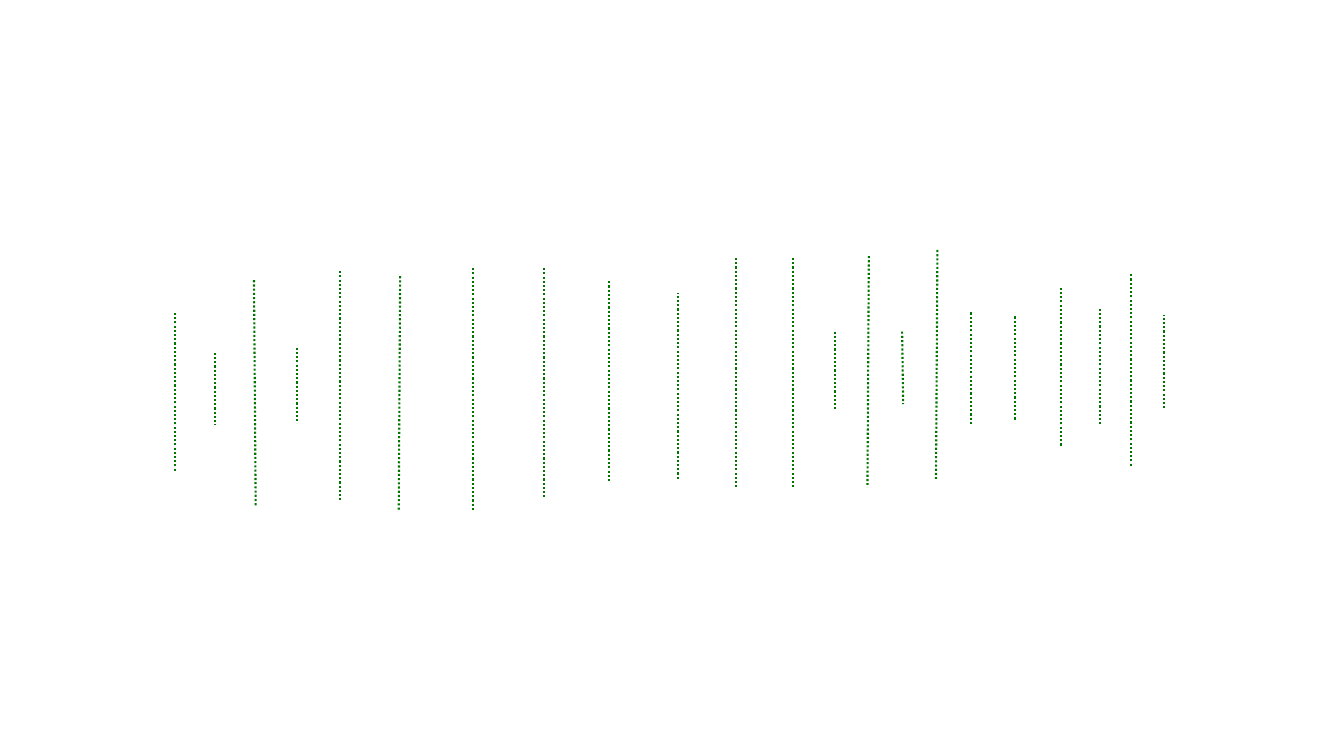
"""Draw a row of dotted green vertical guides on a blank widescreen slide."""
from typing import NamedTuple

from lxml import etree
from pptx import Presentation
from pptx.dml.color import RGBColor
from pptx.enum import dml, shapes
from pptx.oxml import ns
from pptx.slide import Slide
from pptx.util import Pt

GREEN = RGBColor(0x00, 0x75, 0x00)
GUIDE_WIDTH = 1.5


class Guide(NamedTuple):
    """A guide from (x, start) to (x + lean, end), in points."""
    x: float
    start: float
    end: float
    lean: float = 0


GUIDES = [
    Guide(758.16, 318.24, 205.92),
    Guide(725.04, 226.08, 300.96),
    Guide(693.36, 223.2, 303.12),
    Guide(807.84, 332.64, 195.12),
    Guide(831.6, 291.6, 225.36),
    Guide(785.52, 303.12, 219.6),
    Guide(242.64, 193.68, 357.84),
    Guide(388.8, 191.52, 354.96),
    Guide(125.28, 336.24, 223.2),
    Guide(337.68, 191.52, 364.32),
    Guide(566.64, 184.32, 347.76),
    Guide(434.88, 200.88, 344.88),
    Guide(484.56, 342, 209.52),
    Guide(525.6, 184.32, 347.76),
    Guide(153.36, 252, 303.12),
    Guide(212.4, 248.4, 300.96),
    Guide(181.44, 200.16, 361.44, 1.2),
    Guide(285.84, 197.28, 364.32, -1),
    Guide(644.4, 236.88, 288.72, 0.72),
    Guide(596.16, 236.88, 293.04),
    Guide(669.6, 178.56, 342, -1),
    Guide(620.64, 182.88, 346.32, -1),
]


def draw_guide(s: Slide, guide: Guide) -> None:
    """Add one dotted guide without a shadow."""
    sp = s.shapes.add_connector(
        shapes.MSO_CONNECTOR.STRAIGHT,
        Pt(guide.x), Pt(guide.start),
        Pt(guide.x + guide.lean), Pt(guide.end))
    sp.line.color.rgb = GREEN
    sp.line.width = Pt(GUIDE_WIDTH)
    sp.line.dash_style = dml.MSO_LINE.ROUND_DOT
    props = sp.element.find(ns.qn("p:spPr"))
    etree.SubElement(props, ns.qn("a:effectLst"))


def main() -> None:
    """Build and save the slide."""
    prs = Presentation()
    prs.slide_width, prs.slide_height = Pt(960), Pt(540)
    s = prs.slides.add_slide(prs.slide_layouts[6])
    for guide in GUIDES:
        draw_guide(s, guide)
    prs.save("out.pptx")


if __name__ == "__main__":
    main()
